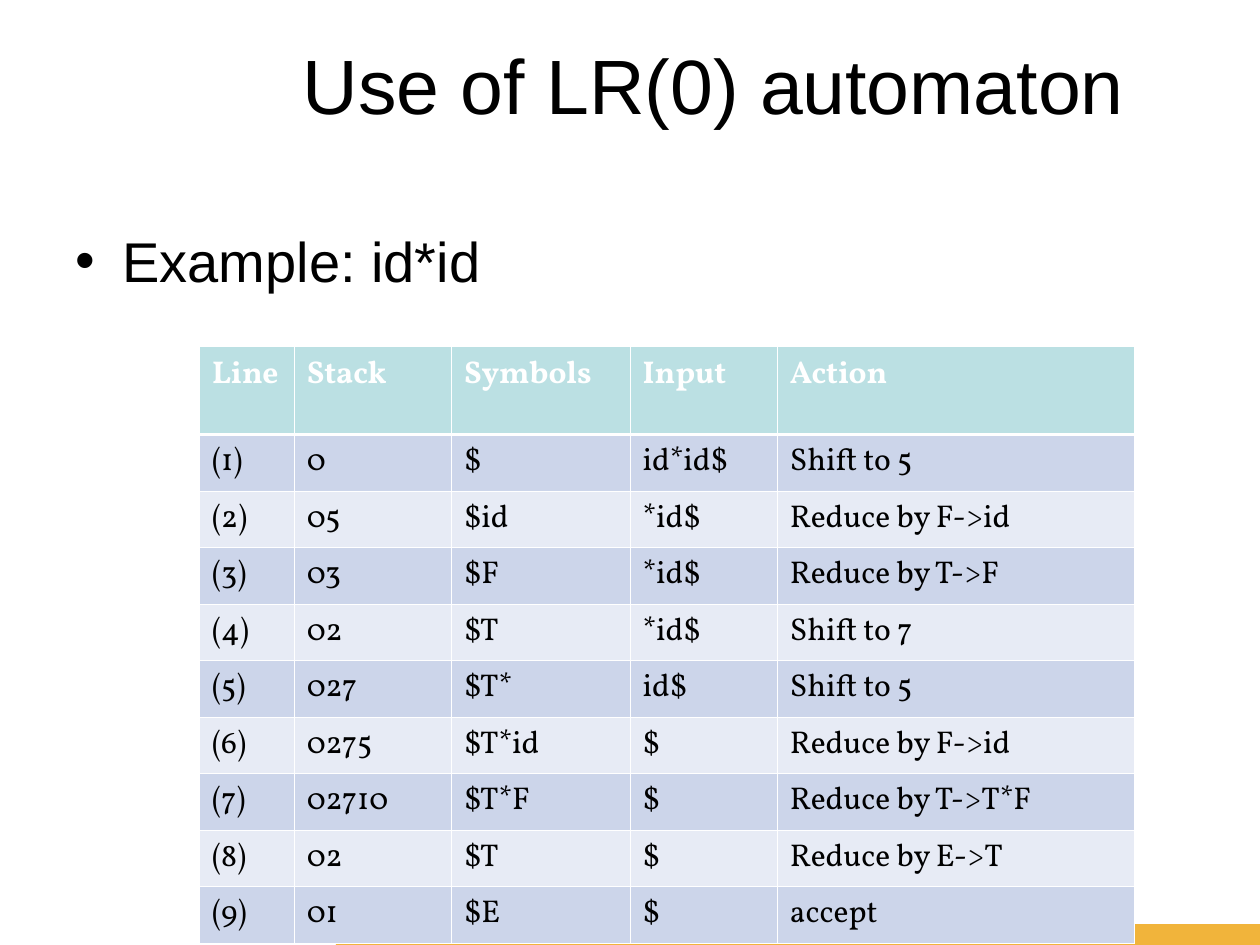
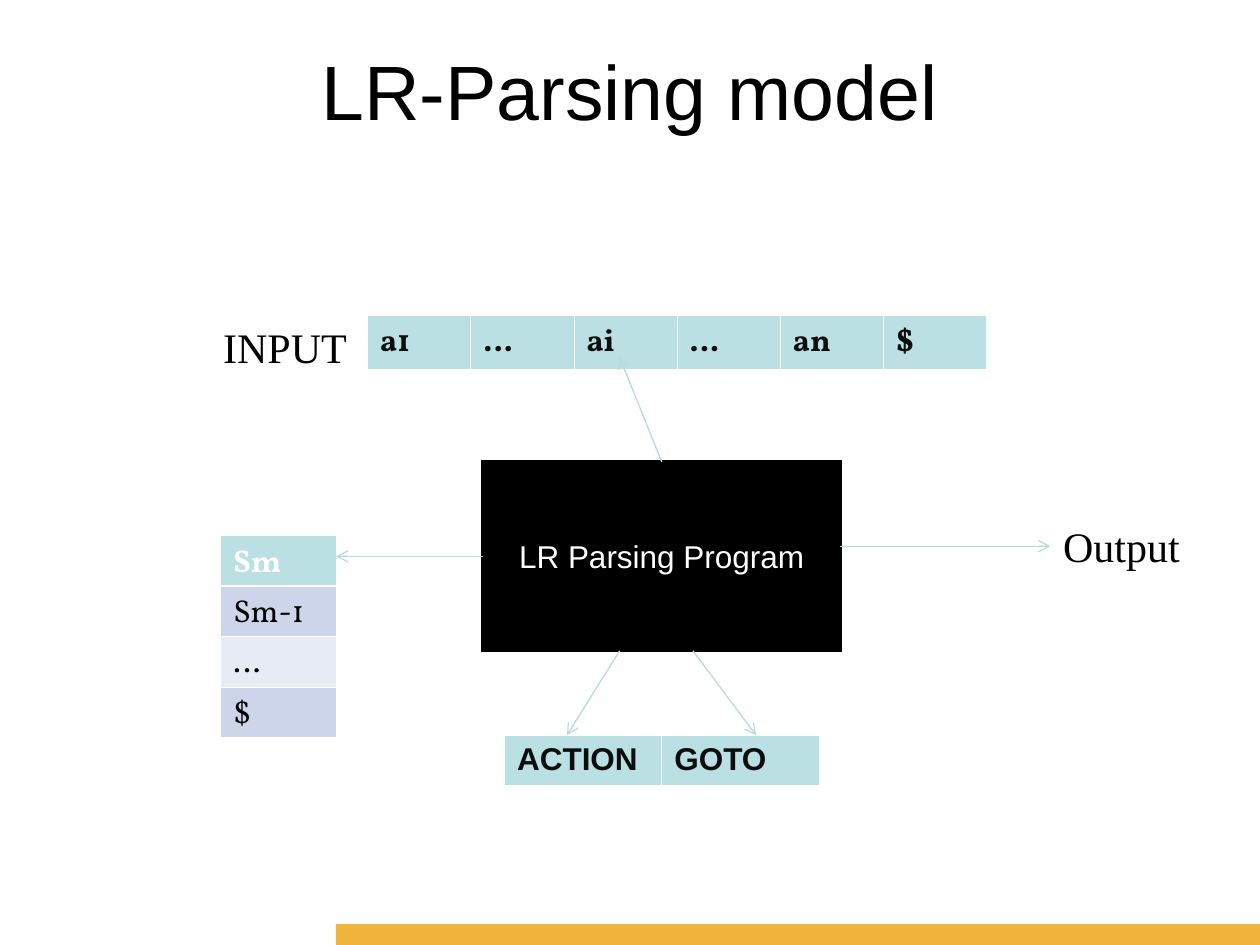
import pptx
import pptx.util
import pptx.dml.color
import pptx.enum.shapes
import pptx.enum.text
from lxml import etree
from pptx.oxml.ns import qn

Cm, Pt = pptx.util.Cm, pptx.util.Pt
MSO = pptx.enum.shapes.MSO_SHAPE
ALIGN = pptx.enum.text.PP_ALIGN
ANCHOR = pptx.enum.text.MSO_ANCHOR

COLORS = {
    "black": "000000", "ink": "0D0D0D", "white": "FFFFFF", "band": "F1B43B",
    "head": "BBE0E3", "odd": "CCD5EA", "even": "E7EBF5", "arrow": "B6DCDF",
}
TITLE = {"size": Pt(44), "name": "Arial"}
BODY = {"size": Pt(32), "name": "Arial"}
LABEL = {"size": Pt(24), "name": "Times New Roman"}
PROGRAM = {"size": Pt(18), "name": "Arial"}
CELL = {"size": Pt(18), "name": "Vollkorn"}

PARSE_STEPS = [
    ("Line", "Stack", "Symbols", "Input", "Action"),
    ("(1)", "0", "$", "id*id$", "Shift to 5"),
    ("(2)", "05", "$id", "*id$", "Reduce by F->id"),
    ("(3)", "03", "$F", "*id$", "Reduce by T->F"),
    ("(4)", "02", "$T", "*id$", "Shift to 7"),
    ("(5)", "027", "$T*", "id$", "Shift to 5"),
    ("(6)", "0275", "$T*id", "$", "Reduce by F->id"),
    ("(7)", "02710", "$T*F", "$", "Reduce by T->T*F"),
    ("(8)", "02", "$T", "$", "Reduce by E->T"),
    ("(9)", "01", "$E", "$", "accept"),
]
STEP_COLS = (1.91, 3.17, 3.6, 2.97, 7.2)
INPUT_TAPE = [("a1", "…", "ai", "…", "an", "$")]
STACK = [("Sm",), ("Sm-1",), ("…",), ("$",)]
PARSE_TABLES = [("ACTION", "GOTO")]
LABELS = [("INPUT", 4.25, 6.35), ("Output", 21.18, 10.36)]
LABEL_SIZE = (3.3, 1.27)
PROGRAM_BOX = (9.74, 9.31, 7.2, 3.81)
ARROWS = [  # from x, y, to x, y
    (16.94, 11.01, 21.17, 11.01),
    (13.34, 9.31, 12.49, 7.2),
    (12.49, 13.12, 11.43, 14.82),
    (13.97, 13.12, 15.24, 14.82),
]


def rgb(name):
    return pptx.dml.color.RGBColor.from_string(COLORS[name])


def write(tf, text, style, color="black", align=ALIGN.LEFT):
    p = tf.paragraphs[0]
    p.alignment = align
    r = p.add_run()
    r.text = text
    for key, value in style.items():
        setattr(r.font, key, value)
    r.font.color.rgb = rgb(color)
    return p


def add_text(s, text, box, style, align=ALIGN.LEFT):
    tf = s.shapes.add_textbox(*map(Cm, box)).text_frame
    tf.word_wrap = True
    return write(tf, text, style, align=align)


def add_rect(s, box, color):
    sp = s.shapes.add_shape(MSO.RECTANGLE, *map(Cm, box))
    sp.shadow.inherit = False
    sp.fill.solid()
    sp.fill.fore_color.rgb = rgb(color)
    sp.line.fill.background()
    return sp


def add_bullet(p):
    pPr = p._p.get_or_add_pPr()
    pPr.set("marL", str(Cm(0.95)))
    pPr.set("indent", str(-Cm(0.95)))
    etree.SubElement(pPr, qn("a:buFont"), typeface="Arial")
    etree.SubElement(pPr, qn("a:buChar"), char="•")


def add_borders(cell, widths):
    """Draw white sides; widths maps L, R, T, B to points."""
    tcPr = cell._tc.get_or_add_tcPr()
    for i, (side, width) in enumerate(widths.items()):
        ln = etree.Element(qn("a:ln" + side), w=str(Pt(width)))
        fill = etree.SubElement(ln, qn("a:solidFill"))
        etree.SubElement(fill, qn("a:srgbClr"), val=COLORS["white"])
        tcPr.insert(i, ln)


def add_grid(s, rows, left, top, cols, heights, style=CELL, head_ink="white"):
    """Table with a bold header row and alternating rows below."""
    frame = s.shapes.add_table(len(rows), len(cols), Cm(left), Cm(top),
                               Cm(sum(cols)), Cm(sum(heights)))
    table = frame.table
    for col, width in zip(table.columns, cols):
        col.width = Cm(width)
    for i, row in enumerate(rows):
        table.rows[i].height = Cm(heights[i])
        fill = "head" if i == 0 else "odd" if i % 2 else "even"
        sides = {"L": 0.45, "R": 0.45, "T": 1.47 if i == 1 else 0.45,
                 "B": 1.47 if i == 0 else 0.45}
        for j, text in enumerate(row):
            cell = table.cell(i, j)
            cell.fill.solid()
            cell.fill.fore_color.rgb = rgb(fill)
            add_borders(cell, sides)
            write(cell.text_frame, text, {**style, "bold": i == 0},
                  "black" if i else head_ink)


def add_arrow(s, x1, y1, x2, y2):
    cn = s.shapes.add_connector(pptx.enum.shapes.MSO_CONNECTOR.STRAIGHT,
                                *map(Cm, (x1, y1, x2, y2)))
    cn.line.color.rgb = rgb("arrow")
    cn.line.width = Pt(0.75)
    etree.SubElement(cn.line._get_or_add_ln(), qn("a:tailEnd"), type="arrow")
    etree.SubElement(cn._element.spPr, qn("a:effectLst"))
    return cn


def new_slide(prs, title, left, top):
    s = prs.slides.add_slide(prs.slide_layouts[6])
    add_rect(s, (6.77, 18.63, 18.63, 0.42), "band")
    add_text(s, title, (left, top, 22.86, 3.18), TITLE, ALIGN.CENTER)
    return s


def automaton_slide(prs):
    s = new_slide(prs, "Use of LR(0) automaton", 2.96, 0.64)
    add_bullet(add_text(s, "Example: id*id", (1.27, 4.45, 22.86, 12.57), BODY))
    heights = [1.77] + [1.14] * (len(PARSE_STEPS) - 1)
    add_grid(s, PARSE_STEPS, 4.02, 6.99, STEP_COLS, heights)


def model_slide(prs):
    s = new_slide(prs, "LR-Parsing model", 1.27, 0.76)
    add_grid(s, INPUT_TAPE, 7.41, 6.36, [2.08] * 6, [1.11], head_ink="ink")
    for text, left, top in LABELS:
        add_text(s, text, (left, top, *LABEL_SIZE), LABEL)

    program = add_rect(s, PROGRAM_BOX, "black")
    program.line.color.rgb = rgb("black")
    program.line.width = Pt(2)
    etree.SubElement(program.line._get_or_add_ln(), qn("a:miter"), lim="800000")
    program.text_frame.word_wrap = True
    program.text_frame.vertical_anchor = ANCHOR.MIDDLE
    write(program.text_frame, "LR Parsing Program", PROGRAM, "white", ALIGN.CENTER)

    left, top, _, height = PROGRAM_BOX
    middle = top + height / 2
    add_arrow(s, left, middle, 6.78, middle).begin_connect(program, 1)
    add_grid(s, STACK, 4.45, 10.8, [2.33], [1.01] * len(STACK))
    add_grid(s, PARSE_TABLES, 10.17, 14.83, [3.17] * 2, [0.99], PROGRAM, "ink")
    for ends in ARROWS:
        add_arrow(s, *ends)


def main():
    prs = pptx.Presentation()
    prs.slide_width, prs.slide_height = Cm(25.4), Cm(19.05)
    automaton_slide(prs)
    model_slide(prs)
    prs.save("out.pptx")


if __name__ == "__main__":
    main()
